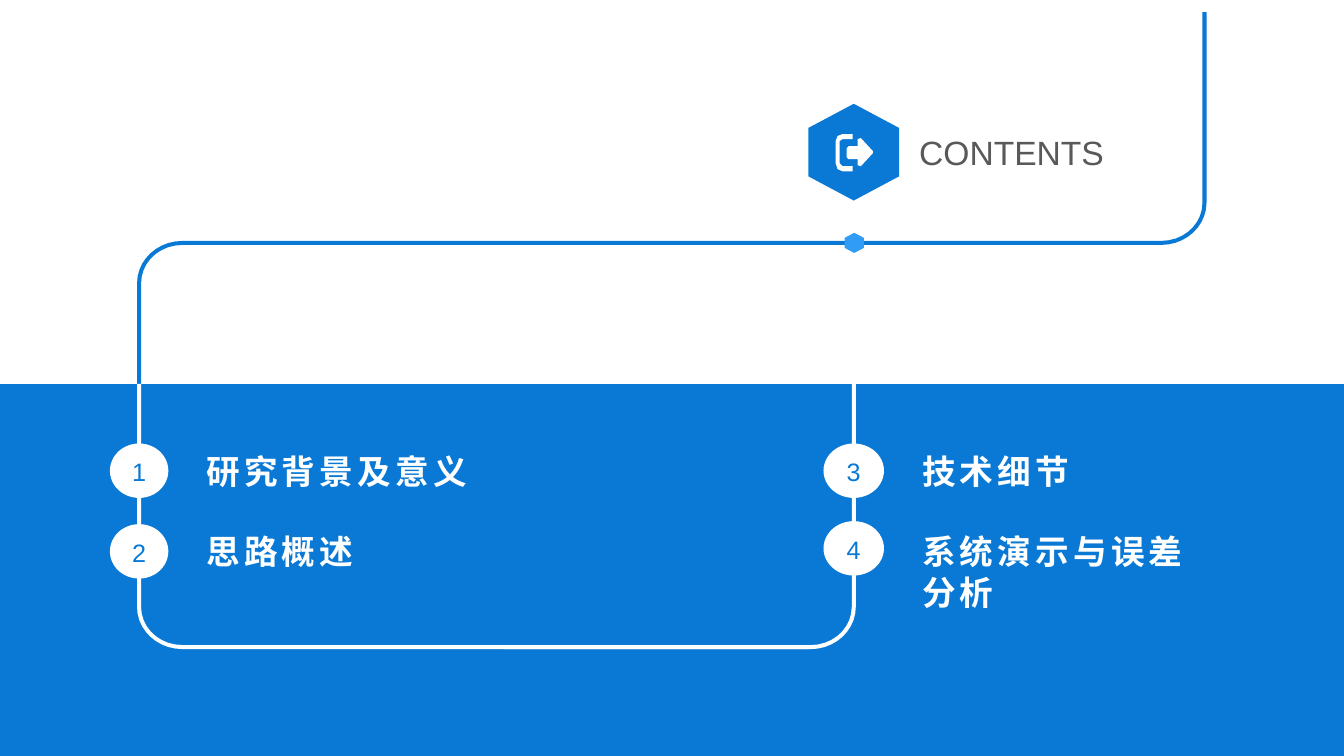
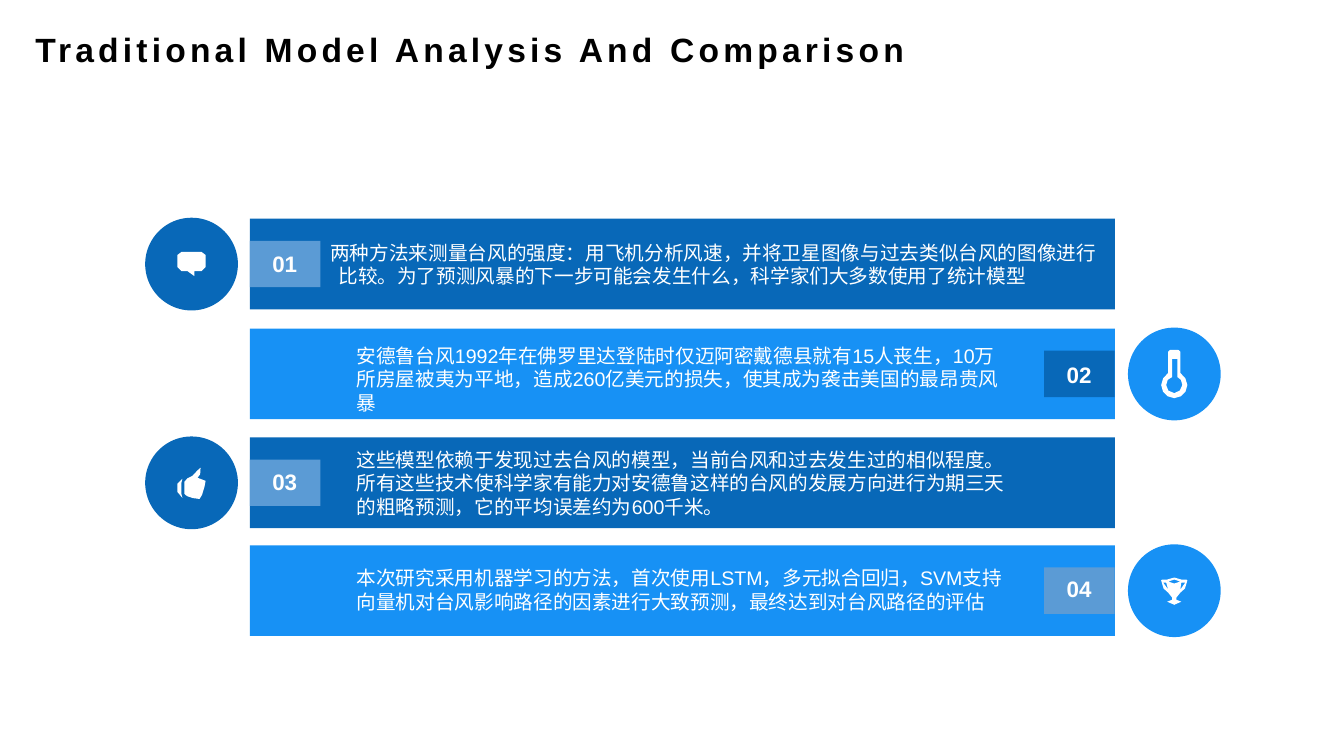
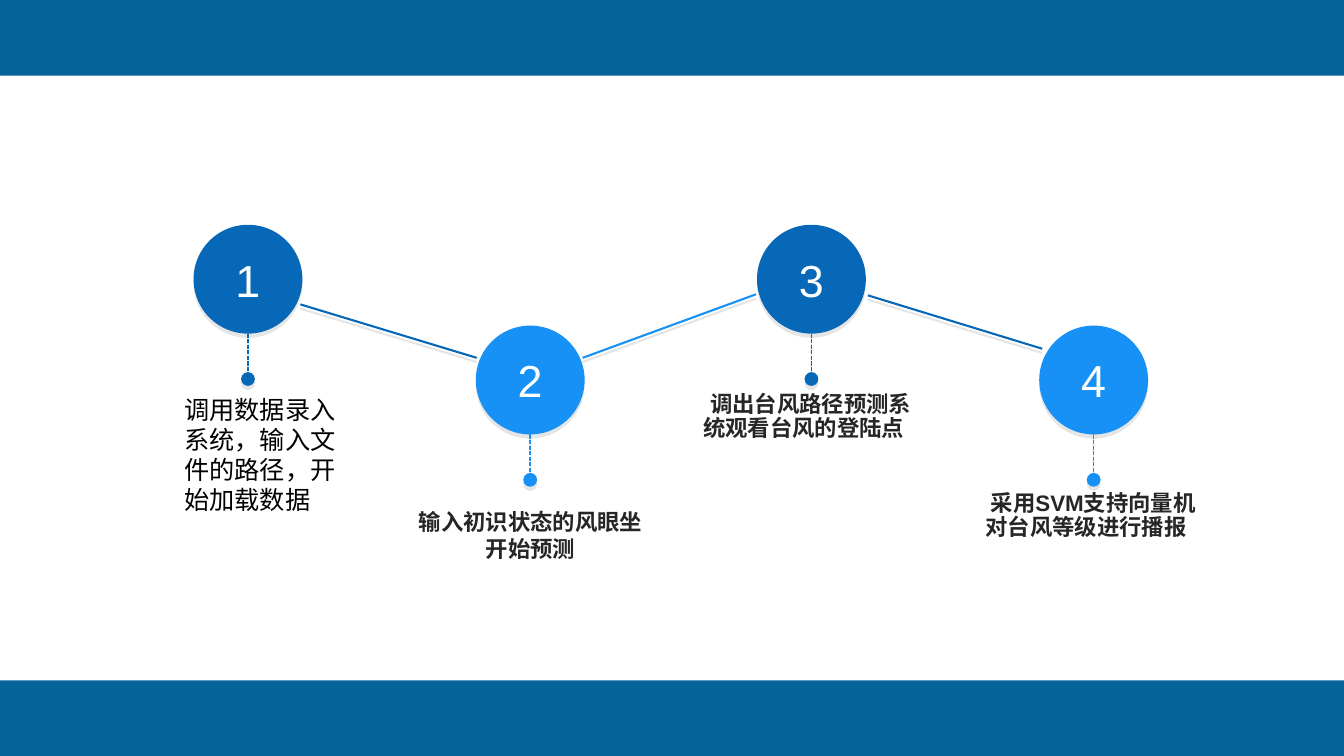
from math import dist

from lxml.etree import SubElement
from pptx import Presentation
from pptx.dml.color import RGBColor
from pptx.enum.dml import MSO_LINE
from pptx.enum.shapes import MSO_CONNECTOR, MSO_SHAPE
from pptx.enum.text import MSO_ANCHOR, MSO_AUTO_SIZE, PP_ALIGN
from pptx.oxml.ns import qn
from pptx.util import Emu, Pt

PX = 9144
WIDTH, HEIGHT = 12192000, 6858000
FONT = "Arial"
TITLE_ONLY, BLANK = 5, 6

WHITE = RGBColor(0xFF, 0xFF, 0xFF)
BLACK = RGBColor(0x00, 0x00, 0x00)
INK = RGBColor(0x26, 0x26, 0x26)
GREY = RGBColor(0x59, 0x59, 0x59)
PANEL_BLUE = RGBColor(0x09, 0x79, 0xD5)
KNOT_BLUE = RGBColor(0x30, 0x9C, 0xF6)
DEEP_BLUE = RGBColor(0x08, 0x68, 0xB8)
BRIGHT_BLUE = RGBColor(0x17, 0x91, 0xF5)
BADGE_BLUE = RGBColor(0x5B, 0x9B, 0xD5)
BAND_BLUE = RGBColor(0x08, 0x63, 0x9C)

EXIT_ICON = [
    [(7, 37), (3, 37, 0, 34, 0, 29), (0, 7), (0, 3, 3, 0, 7, 0), (17, 0), (17, 5), (7, 5),
     (5, 5, 4, 6, 4, 7), (4, 29), (4, 31, 5, 32, 7, 32), (17, 32), (17, 37)],
    [(37, 17), (38, 18, 38, 18, 37, 19), (25, 32), (24, 33, 22, 33, 22, 31), (22, 25),
     (13, 25), (11, 25, 11, 24, 11, 23), (11, 14), (11, 12, 12, 12, 13, 12), (22, 12),
     (22, 5), (22, 4, 24, 3, 25, 4)],
]
SPEECH_ICON = [
    [(24, 0), (4, 0), (2, 0, 0, 1, 0, 3), (0, 15), (0, 17, 2, 19, 4, 19), (10, 19),
     (17, 24), (17, 19), (24, 19), (26, 19, 28, 17, 28, 15), (28, 3), (28, 1, 26, 0, 24, 0)],
]
THERMOMETER_ICON = [
    [(19, 23), (19, 2), (19, 1, 18, 0, 17, 0), (9, 0), (7, 0, 7, 1, 7, 2), (7, 23),
     (3, 26, 0, 30, 0, 35), (0, 42, 6, 48, 13, 48), (20, 48, 26, 42, 26, 35),
     (26, 30, 23, 26, 19, 23)],
    [(13, 43), (8, 43, 5, 39, 5, 35), (5, 31, 7, 28, 11, 27), (11, 9), (16, 9), (16, 27),
     (19, 28, 21, 31, 21, 35), (21, 39, 17, 43, 13, 43)],
]
THUMB_ICON = [
    [(5, 12), (4, 12, 0, 12, 0, 17), (0, 25), (0, 30, 4, 31, 5, 31), (6, 31, 4, 30, 4, 27),
     (4, 16), (4, 13, 6, 12, 5, 12)],
    [(20, 11), (20, 11, 26, 5, 23, 1), (22, 0, 19, 6, 15, 9), (12, 10, 7, 13, 7, 15),
     (7, 27), (7, 29, 16, 32, 22, 32), (24, 32, 28, 17, 28, 14), (28, 12, 20, 12, 20, 11)],
]
TROPHY_ICON = [
    [(15, 20), (15, 18, 16, 16, 19, 15), (22, 13, 26, 10, 26, 3), (26, 3, 26, 2, 25, 2),
     (20, 2), (19, 1, 17, 0, 13, 0), (9, 0, 6, 1, 6, 2), (1, 2), (0, 2, 0, 3, 0, 3),
     (0, 10, 4, 13, 7, 15), (10, 16, 11, 18, 11, 20), (11, 22), (8, 22, 6, 23, 6, 24),
     (6, 26, 9, 27, 13, 27), (17, 27, 20, 26, 20, 24), (20, 23, 17, 22, 15, 22)],
    [(2, 5), (5, 5), (6, 8, 6, 11, 7, 12), (5, 11, 2, 9, 2, 5)],
    [(19, 12), (20, 11, 20, 8, 20, 5), (24, 5), (24, 9, 21, 11, 19, 12)],
    [(13, 2), (17, 2, 19, 3, 19, 4), (19, 4, 17, 6, 13, 6), (9, 6, 7, 4, 7, 4),
     (7, 3, 9, 2, 13, 2)],
]


def emu(*lengths):
    """Turn px lengths into EMU."""
    return [Emu(round(length * PX)) for length in lengths]


def paint(shape, colour):
    """Give a shape a flat fill without line or shadow."""
    shape.fill.solid()
    shape.fill.fore_color.rgb = colour
    shape.line.fill.background()
    shape.shadow.inherit = False
    return shape


def add_figure(page, preset, box, colour):
    """Add a flat preset shape."""
    return paint(page.shapes.add_shape(preset, *emu(*box)), colour)


def add_band(page, top, height, colour):
    """Add a full-width band."""
    paint(page.shapes.add_shape(MSO_SHAPE.RECTANGLE, 0, *emu(top), WIDTH, *emu(height)), colour)


def write(shape, text, size, colour, bold=False, align=PP_ALIGN.LEFT, anchor=MSO_ANCHOR.TOP,
          tracking=0, indent=0, leading=None, before=None):
    """Fill a shape with one formatted paragraph."""
    frame = shape.text_frame
    frame.word_wrap = True
    frame.vertical_anchor = anchor
    para = frame.paragraphs[0]
    para.alignment = align
    if leading:
        para.line_spacing = leading
    if before:
        para.space_before = Pt(before)
    span = para.add_run()
    span.text = text
    span.font.name = FONT
    span.font.size = Pt(size)
    span.font.bold = bold
    span.font.color.rgb = colour
    if tracking:
        for properties in shape.element.iter(qn("a:rPr")):
            properties.set("spc", str(tracking * 100))
    if indent:
        for properties in shape.element.iter(qn("a:pPr")):
            properties.set("indent", str(indent * PX))


def add_text(page, box, text, size, colour, **style):
    """Add a wrapping text box."""
    write(page.shapes.add_textbox(*emu(*box)), text, size, colour, **style)


def set_title(page, box, text, colour, **style):
    """Move and format the title placeholder."""
    title = page.shapes.title
    title.left, title.top, title.width, title.height = emu(*box)
    title.text_frame.auto_size = MSO_AUTO_SIZE.NONE
    write(title, text, 24, colour, **style)


def flatten(loop, left, top):
    """Turn points and cubic curves into EMU points, about one every 6 px of curve."""
    points = [loop[0]]
    for segment in loop[1:]:
        knots = [points[-1], segment[:2], segment[2:4], segment[4:]]
        steps = max(1, round(dist(points[-1], segment[-2:]) / 6)) if len(segment) > 2 else 1
        for step in range(1, steps):
            t = step / steps
            weights = ((1 - t) ** 3, 3 * t * (1 - t) ** 2, 3 * t * t * (1 - t), t ** 3)
            points.append(tuple(sum(w * knot[axis] for w, knot in zip(weights, knots)) for axis in (0, 1)))
        points.append(segment[-2:])
    return [emu(left + x, top + y) for x, y in points]


def add_outline(page, left, top, loops, colour):
    """Add a filled freeform made of closed loops."""
    first, *others = [flatten(loop, left, top) for loop in loops]
    builder = page.shapes.build_freeform(*first[0])
    builder.add_line_segments(first[1:], close=True)
    for loop in others:
        builder.move_to(*loop[0])
        builder.add_line_segments(loop[1:], close=True)
    paint(builder.convert_to_shape(), colour)


def add_hexagon(page, left, top, width, height, colour):
    """Add an upright hexagon."""
    upper, lower = height / 4, height * 3 / 4
    loop = [(width / 2, 0), (width, upper), (width, lower),
            (width / 2, height), (0, lower), (0, upper)]
    add_outline(page, left, top, [loop], colour)


def add_pipe(page, box, corner, colour):
    """Add a thin L-shaped pipe, rounded at the named corner of its box."""
    left, top, width, height = box
    loop = [(0, height), (0, 42), (0, 19, 20, 0, 45, 0), (width, 0), (width, 4), (45, 4),
            (22, 4, 4, 21, 4, 42), (4, height)]
    if "right" in corner:
        loop = [tuple(width - v if i % 2 == 0 else v for i, v in enumerate(s)) for s in loop]
    if "bottom" in corner:
        loop = [tuple(height - v if i % 2 else v for i, v in enumerate(s)) for s in loop]
    add_outline(page, left, top, [loop], colour)


def add_contents_column(page, left, label_left, circle_width, circle_step, first_number, labels):
    """Add numbered circles and their labels."""
    for row, label in enumerate(labels):
        box = (left, 440 + row * circle_step, circle_width, 54)
        circle = add_figure(page, MSO_SHAPE.OVAL, box, WHITE)
        write(circle, str(first_number + row), 18, PANEL_BLUE, align=PP_ALIGN.CENTER)
        add_text(page, (label_left, 442 + row * 80, 296, 50), label, 24, WHITE, bold=True, tracking=3)


def build_contents(deck):
    """Build the contents slide."""
    page = deck.slides.add_slide(deck.slide_layouts[TITLE_ONLY])
    set_title(page, (894, 126, 219, 50), "CONTENTS", GREY, align=PP_ALIGN.CENTER)
    add_band(page, 381, 369, PANEL_BLUE)
    add_pipe(page, (136, 239, 711, 142), "left top", PANEL_BLUE)
    add_pipe(page, (136, 381, 667, 263), "left bottom", WHITE)
    add_pipe(page, (847, 12, 350, 231), "right bottom", PANEL_BLUE)
    add_pipe(page, (500, 12, 349, 632), "right bottom", WHITE)
    add_hexagon(page, 838, 231, 19, 20, KNOT_BLUE)
    add_hexagon(page, 802, 103, 90, 96, PANEL_BLUE)
    add_outline(page, 829, 133, EXIT_ICON, WHITE)
    add_contents_column(page, 109, 195, 58, 80, 1, ["研究背景及意义", "思路概述"])
    add_contents_column(page, 817, 905, 60, 77, 3, ["技术细节", "系统演示与误差分析"])


def add_comparison_row(page, top, number, number_top, colour, badge_colour, icon, icon_at):
    """Add a bar with its badge and icon disc, odd rows on the left, and return the bar."""
    disc_left, badge_left = (144, 248) if number % 2 else (1119, 1036)
    add_figure(page, MSO_SHAPE.OVAL, (disc_left, top - 1, 92, 92), colour)
    add_outline(page, *icon_at, icon, WHITE)
    bar = add_figure(page, MSO_SHAPE.RECTANGLE, (248, top, 858, 90), colour)
    add_figure(page, MSO_SHAPE.RECTANGLE, (badge_left, top + 22, 70, 46), badge_colour)
    add_text(page, (badge_left + 1, number_top, 67, 33), f"{number:02}", 16, WHITE, bold=True,
             align=PP_ALIGN.CENTER, anchor=MSO_ANCHOR.MIDDLE, leading=0.9, before=10)
    return bar


def build_comparison(deck):
    """Build the model comparison slide."""
    page = deck.slides.add_slide(deck.slide_layouts[TITLE_ONLY])
    set_title(page, (25, 24, 937, 50), "Traditional Model Analysis And Comparison", BLACK,
              bold=True, tracking=3)
    rows = [
        (217, 1, 247, DEEP_BLUE, BADGE_BLUE, SPEECH_ICON, (176, 250)),
        (326, 2, 357, BRIGHT_BLUE, DEEP_BLUE, THERMOMETER_ICON, (1152, 347)),
        (434, 3, 463, DEEP_BLUE, BADGE_BLUE, THUMB_ICON, (176, 463)),
        (541, 4, 569, BRIGHT_BLUE, BADGE_BLUE, TROPHY_ICON, (1152, 573)),
    ]
    bars = [add_comparison_row(page, *row) for row in rows]
    write(bars[0],
          "两种方法来测量台风的强度：用飞机分析风速，并将卫星图像与过去类似台风的图像进行比较。"
          "为了预测风暴的下一步可能会发生什么，科学家们大多数使用了统计模型",
          14, WHITE, align=PP_ALIGN.CENTER, anchor=MSO_ANCHOR.MIDDLE, indent=62)
    notes = [
        (336, 104, "安德鲁台风1992年在佛罗里达登陆时仅迈阿密戴德县就有15人丧生，10万所房屋被夷为平地，"
                   "造成260亿美元的损失，使其成为袭击美国的最昂贵风暴"),
        (439, 81, "这些模型依赖于发现过去台风的模型，当前台风和过去发生过的相似程度。所有这些技术使科学家"
                  "有能力对安德鲁这样的台风的发展方向进行为期三天的粗略预测，它的平均误差约为600千米。"),
        (557, 57, "本次研究采用机器学习的方法，首次使用LSTM，多元拟合回归，SVM支持向量机对台风影响路径的"
                  "因素进行大致预测，最终达到对台风路径的评估"),
    ]
    for top, height, text in notes:
        add_text(page, (344, top, 667, height), text, 14, WHITE)


def cast_shadow(item):
    """Add a faint shadow straight below an item."""
    properties = item.element.spPr
    effects = properties.find(qn("a:effectLst"))
    if effects is None:
        effects = SubElement(properties, qn("a:effectLst"))
    shadow = SubElement(effects, qn("a:outerShdw"), blurRad="0", dist=str(Pt(3)),
                        dir="5400000", algn="t", rotWithShape="0")
    tint = SubElement(shadow, qn("a:srgbClr"), val=str(BLACK))
    SubElement(tint, qn("a:alpha"), val="10000")


def add_link(page, ends, colour, width, dotted=False):
    """Add a shadowed line, dashed with a large round end if dotted."""
    link = page.shapes.add_connector(MSO_CONNECTOR.STRAIGHT, *emu(*ends))
    link.line.color.rgb = colour
    link.line.width = Pt(width)
    if dotted:
        link.line.dash_style = MSO_LINE.SQUARE_DOT
        SubElement(link.element.spPr.find(qn("a:ln")), qn("a:tailEnd"), type="oval", w="lg", len="lg")
    cast_shadow(link)


def add_step(page, left, top, number, colour):
    """Add a numbered disc with a dashed stem."""
    disc = add_figure(page, MSO_SHAPE.OVAL, (left, top, 108, 108), colour)
    cast_shadow(disc)
    write(disc, number, 32, WHITE, align=PP_ALIGN.CENTER, anchor=MSO_ANCHOR.MIDDLE)
    add_link(page, (left + 54, top + 108, left + 54, top + 153), colour, 1, dotted=True)


def build_steps(deck):
    """Build the four-step slide."""
    page = deck.slides.add_slide(deck.slide_layouts[BLANK])
    for top in (675, 0):
        add_band(page, top, 75, BAND_BLUE)
    add_link(page, (298, 302, 473, 355), DEEP_BLUE, 1.5)
    add_link(page, (578, 355, 750, 292), BRIGHT_BLUE, 1.5)
    add_link(page, (861, 293, 1034, 346), DEEP_BLUE, 1.5)
    for index, left in enumerate((192, 472, 751, 1031)):
        lowered = index % 2
        add_step(page, left, 223 + lowered * 100, str(index + 1),
                 BRIGHT_BLUE if lowered else DEEP_BLUE)
    add_text(page, (173, 386, 177, 131), "调用数据录入系统，输入文件的路径，开始加载数据", 18, BLACK)
    add_text(page, (400, 499, 253, 64), "输入初识状态的风眼坐开始预测", 16, INK,
             bold=True, align=PP_ALIGN.CENTER)
    captions = [
        (671, 385, "调出台风路径预测系统观看台风的登陆点"),
        (951, 483, "采用SVM支持向量机对台风等级进行播报"),
    ]
    for left, top, text in captions:
        add_text(page, (left, top, 253, 58), text, 16, INK, bold=True, align=PP_ALIGN.CENTER,
                 indent=14, leading=0.9, before=6)


def main():
    """Build and save the deck."""
    deck = Presentation()
    deck.slide_width, deck.slide_height = Emu(WIDTH), Emu(HEIGHT)
    build_contents(deck)
    build_comparison(deck)
    build_steps(deck)
    deck.save("out.pptx")


if __name__ == "__main__":
    main()
